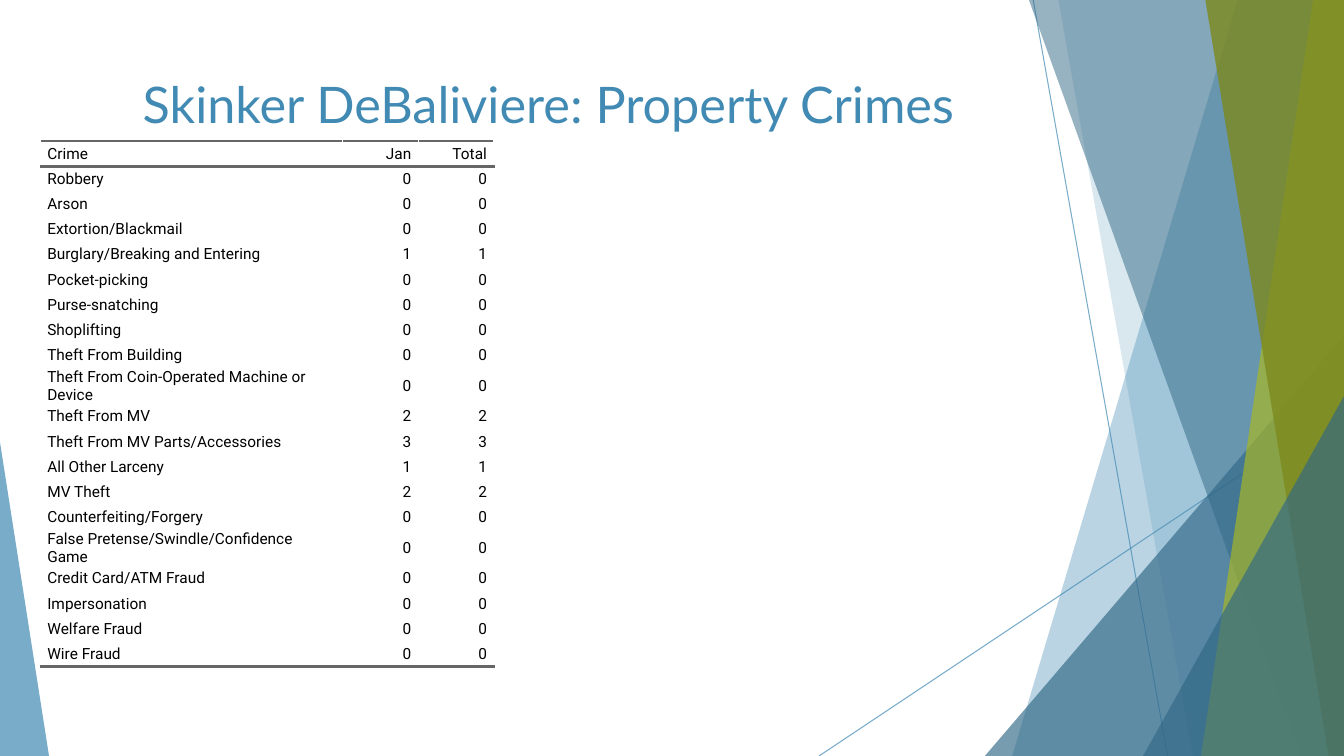
from dataclasses import dataclass

from lxml.etree import SubElement
from pptx import Presentation
from pptx.dml.color import RGBColor
from pptx.enum.shapes import MSO_CONNECTOR as CONN, MSO_SHAPE as SHAPE
from pptx.enum.text import MSO_ANCHOR as ANCHOR, PP_ALIGN as ALIGN
from pptx.oxml.ns import qn
from pptx.util import Pt


@dataclass(frozen=True)
class Theme:
    """Colours, fonts and type sizes of the slide."""
    blue: str = "418AB3"
    navy: str = "316886"
    lime: str = "A6B727"
    olive: str = "7D891D"
    rule: str = "666666"
    text: str = "000000"
    title_font: str = "Lato"
    table_font: str = "Roboto"
    title_size: int = 36
    table_size: int = 11


THEME = Theme()
WIDTH, HEIGHT = 960, 540
COLUMNS = (216, 54, 54)
ROW_HEIGHT = 18
CRIMES = (
    ("Robbery", 0),
    ("Arson", 0),
    ("Extortion/Blackmail", 0),
    ("Burglary/Breaking and Entering", 1),
    ("Pocket-picking", 0),
    ("Purse-snatching", 0),
    ("Shoplifting", 0),
    ("Theft From Building", 0),
    ("Theft From Coin-Operated Machine or Device", 0),
    ("Theft From MV", 2),
    ("Theft From MV Parts/Accessories", 3),
    ("All Other Larceny", 1),
    ("MV Theft", 2),
    ("Counterfeiting/Forgery", 0),
    ("False Pretense/Swindle/Confidence Game", 0),
    ("Credit Card/ATM Fraud", 0),
    ("Impersonation", 0),
    ("Welfare Fraud", 0),
    ("Wire Fraud", 0),
)


def set_colour(fill, colour, alpha):
    """Make a fill solid with the given opacity in percent."""
    fill.solid()
    fill.fore_color.rgb = RGBColor.from_string(colour)
    clr = fill._xPr.find(qn("a:solidFill"))[0]
    SubElement(clr, qn("a:alpha"), val=str(alpha * 1000))


def paint(sp, colour, alpha):
    """Give a shape a translucent fill without line or shadow."""
    set_colour(sp.fill, colour, alpha)
    sp.line.fill.background()
    sp.shadow.inherit = False


def add_panel(s, top_x, bottom_x, colour, alpha):
    """Draw a slanted panel that reaches the right edge of the slide."""
    builder = s.shapes.build_freeform(Pt(top_x), 0)
    corners = ((WIDTH, 0), (WIDTH, HEIGHT), (bottom_x, HEIGHT))
    builder.add_line_segments([(Pt(x), Pt(y)) for x, y in corners])
    paint(builder.convert_to_shape(), colour, alpha)


def add_wedge(s, left, top, width, apex, colour, alpha):
    """Draw a triangle that stands on the bottom edge of the slide."""
    sp = s.shapes.add_shape(SHAPE.ISOSCELES_TRIANGLE, Pt(left), Pt(top),
                            Pt(width), Pt(HEIGHT - top))
    sp.adjustments[0] = apex
    paint(sp, colour, alpha)


def add_thin_line(s, x1, y1, x2, y2):
    """Draw a translucent hairline."""
    line = s.shapes.add_connector(CONN.STRAIGHT, Pt(x1), Pt(y1), Pt(x2), Pt(y2))
    line.line.width = Pt(0.75)
    set_colour(line.line.fill, THEME.blue, 70)
    SubElement(line._element.spPr, qn("a:effectLst"))


def add_run(p, text, font, size, colour):
    """Add one formatted run to a paragraph."""
    r = p.add_run()
    r.text = text
    r.font.name = font
    r.font.size = Pt(size)
    r.font.color.rgb = RGBColor.from_string(colour)


def add_title(s, text):
    """Add the centred slide title."""
    tf = s.shapes.add_textbox(Pt(53.5), Pt(48.5), Pt(676.5), Pt(103.5)).text_frame
    tf.word_wrap = True
    tf.vertical_anchor = ANCHOR.TOP
    p = tf.paragraphs[0]
    p.alignment = ALIGN.CENTER
    add_run(p, text, THEME.title_font, THEME.title_size, THEME.blue)


def add_border(cell, side):
    """Rule one side of a table cell: lnT or lnB."""
    tc_pr = cell._tc.get_or_add_tcPr()
    ln = SubElement(tc_pr, qn(f"a:{side}"), w=str(Pt(2)))
    solid = SubElement(ln, qn("a:solidFill"))
    SubElement(solid, qn("a:srgbClr"), val=THEME.rule)


def fill_cell(cell, text, align, sides):
    """Set the text, borders and empty fill of a table cell."""
    cell.margin_top = cell.margin_bottom = 0
    cell.margin_left = cell.margin_right = Pt(5)
    cell.vertical_anchor = ANCHOR.MIDDLE
    for side in sides:
        add_border(cell, side)
    cell.fill.background()
    p = cell.text_frame.paragraphs[0]
    p.alignment = align
    p.space_after = Pt(5)
    add_run(p, text, THEME.table_font, THEME.table_size, THEME.text)


def add_crime_table(s):
    """Add the table of crimes with ruled header and last row."""
    rows = [("Crime", "Jan", "Total")]
    rows += [(crime, str(count), str(count)) for crime, count in CRIMES]
    table = s.shapes.add_table(len(rows), len(COLUMNS), Pt(28.8), Pt(100.8),
                               Pt(sum(COLUMNS)), Pt(ROW_HEIGHT * len(rows))).table
    table.first_row = table.horz_banding = False
    for column, width in zip(table.columns, COLUMNS):
        column.width = Pt(width)
    borders = {0: ("lnT", "lnB"), len(rows) - 1: ("lnB",)}
    for i, row in enumerate(rows):
        table.rows[i].height = Pt(ROW_HEIGHT)
        for j, text in enumerate(row):
            align = ALIGN.RIGHT if j else ALIGN.LEFT
            fill_cell(table.cell(i, j), text, align, borders.get(i, ()))


def add_backdrop(s):
    """Draw the overlapping facets from back to front."""
    add_thin_line(s, 738, 0, 834, HEIGHT)
    add_thin_line(s, WIDTH, 290, 585, HEIGHT)
    add_panel(s, 884, 723, THEME.blue, 36)
    add_panel(s, 756, 852, THEME.blue, 20)
    add_wedge(s, 703.5, 240, 256.5, 1, THEME.navy, 66)
    add_panel(s, 735, 929.5, THEME.navy, 50)
    add_panel(s, 938, 858, THEME.lime, 70)
    add_panel(s, 861, 949, THEME.olive, 80)
    add_wedge(s, 816.5, 283, 143.5, 1, THEME.navy, 66)
    add_wedge(s, 0, 316, 35, 0, THEME.blue, 70)


def main():
    """Build and save the slide."""
    prs = Presentation()
    prs.slide_width, prs.slide_height = Pt(WIDTH), Pt(HEIGHT)
    s = prs.slides.add_slide(prs.slide_layouts[6])
    add_backdrop(s)
    add_crime_table(s)
    add_title(s, "Skinker DeBaliviere: Property Crimes")
    prs.save("out.pptx")


if __name__ == "__main__":
    main()
